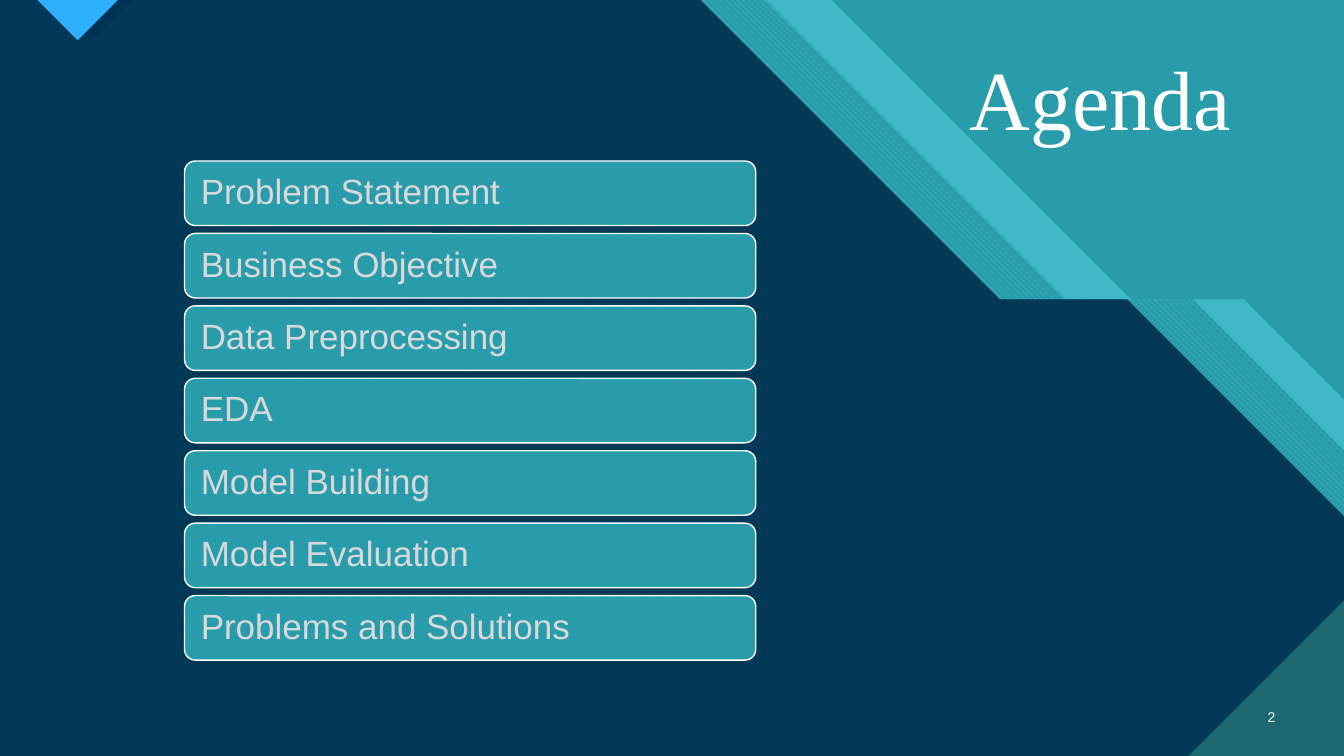
from dataclasses import dataclass
from typing import Optional

from lxml.etree import SubElement
from pptx import Presentation
from pptx.dml.color import RGBColor
from pptx.enum.dml import MSO_PATTERN
from pptx.enum.shapes import MSO_SHAPE
from pptx.enum.text import MSO_ANCHOR, PP_ALIGN
from pptx.oxml.ns import qn
from pptx.util import Inches, Pt

COLORS = {
    "teal": "299CAB",
    "aqua": "47C3D3",
    "deep_teal": "1B6872",
    "navy": "003352",
    "blue": "2FAFFF",
    "white": "FFFFFF",
    "grey": "D9D9D9",
}
WIDTH, HEIGHT = Inches(13.333), Inches(7.5)
SLOPE = WIDTH / HEIGHT  # turns a share of the width into the same length as a share of the height
SHELF_Y = 39.6

AGENDA = ["Problem Statement", "Business Objective", "Data Preprocessing", "EDA",
          "Model Building", "Model Evaluation", "Problems and Solutions"]
CARD_LEFT, CARD_TOP, CARD_W, CARD_H, CARD_PITCH = 13.73, 21.3, 42.5, 8.53, 9.58


@dataclass
class Paint:
    color: str
    alpha: Optional[int] = None
    pattern: Optional[MSO_PATTERN] = None
    back: str = "teal"


@dataclass
class Layer:
    """A page-wide sheet whose right edge runs down at 45 degrees, along a shelf, and down again."""
    fold: float
    shelf_end: float
    paint: Paint


@dataclass
class Triangle:
    points: list[tuple[float, float]]
    paint: Paint


LAYERS = [
    Layer(61.88, 92.55, Paint("aqua", alpha=74)),
    Layer(57.0, 88.8, Paint("aqua", pattern=MSO_PATTERN.WIDE_DOWNWARD_DIAGONAL)),
    Layer(52.12, 83.85, Paint("aqua", pattern=MSO_PATTERN.WIDE_UPWARD_DIAGONAL,
                              back="deep_teal")),
    Layer(52.12, 83.85, Paint("navy", alpha=90)),
]
TRIANGLES = [
    Triangle([(3.6, 0), (6.71, 5.53), (9.82, 0)], Paint("navy")),
    Triangle([(2.78, 0), (5.78, 5.33), (8.78, 0)], Paint("blue")),
    Triangle([(88.43, 100), (100, 100), (100, 79.43)], Paint("deep_teal")),
]


def rgb(name: str) -> RGBColor:
    return RGBColor.from_string(COLORS[name])


def x(share: float) -> int:
    """Percent of the slide's width."""
    return round(WIDTH * share / 100)


def y(share: float) -> int:
    """Percent of the slide's height."""
    return round(HEIGHT * share / 100)


def apply_paint(sp, paint: Paint) -> None:
    sp.shadow.inherit = False
    sp.line.fill.background()
    if paint.pattern is not None:
        sp.fill.patterned()
        sp.fill.pattern = paint.pattern
        sp.fill.fore_color.rgb = rgb(paint.color)
        sp.fill.back_color.rgb = rgb(paint.back)
        return
    sp.fill.solid()
    sp.fill.fore_color.rgb = rgb(paint.color)
    if paint.alpha is not None:
        clr = sp._element.spPr.find(qn("a:solidFill")).find(qn("a:srgbClr"))
        SubElement(clr, qn("a:alpha")).set("val", str(paint.alpha * 1000))


def add_polygon(s, points: list[tuple[float, float]], paint: Paint) -> None:
    corners = [(x(px), y(py)) for px, py in points]
    builder = s.shapes.build_freeform(*corners[0])
    builder.add_line_segments(corners[1:], close=True)
    apply_paint(builder.convert_to_shape(), paint)


def add_layer(s, layer: Layer) -> None:
    shelf_start = layer.fold + SHELF_Y / SLOPE
    right_y = SHELF_Y + (100 - layer.shelf_end) * SLOPE
    add_polygon(s, [(0, 0), (layer.fold, 0), (shelf_start, SHELF_Y),
                    (layer.shelf_end, SHELF_Y), (100, right_y), (100, 100), (0, 100)],
                layer.paint)


def write(sp, text: str, *, size: float, color: str = "white", font: str = "Arial",
          align: PP_ALIGN = PP_ALIGN.LEFT, anchor: MSO_ANCHOR = MSO_ANCHOR.MIDDLE,
          inset: float = 0.1, spacing: float = 1.0) -> None:
    tf = sp.text_frame
    tf.word_wrap = True
    tf.vertical_anchor = anchor
    tf.margin_left = tf.margin_right = Inches(inset)
    tf.margin_top = tf.margin_bottom = Inches(0.05)
    p = tf.paragraphs[0]
    p.alignment = align
    p.line_spacing = spacing
    r = p.add_run()
    r.text = text
    r.font.size = Pt(size)
    r.font.name = font
    r.font.color.rgb = rgb(color)


def add_card(s, row: int, text: str) -> None:
    sp = s.shapes.add_shape(MSO_SHAPE.ROUNDED_RECTANGLE, x(CARD_LEFT),
                            y(CARD_TOP + row * CARD_PITCH), x(CARD_W), y(CARD_H))
    apply_paint(sp, Paint("teal"))
    sp.line.color.rgb = rgb("white")
    sp.line.width = Pt(1)
    write(sp, text, size=25, color="grey", inset=0.13, spacing=0.9)


def add_title(s, text: str) -> None:
    title = s.shapes.title
    title.left, title.top, title.width, title.height = x(70.8), y(5.47), x(22.13), y(14.8)
    write(title, text, size=60, font="Times New Roman", align=PP_ALIGN.CENTER,
          anchor=MSO_ANCHOR.TOP)
    s.shapes._spTree.append(title._element)  # bring in front of the layers


def main() -> None:
    prs = Presentation()
    prs.slide_width, prs.slide_height = WIDTH, HEIGHT
    s = prs.slides.add_slide(prs.slide_layouts[5])
    s.background.fill.solid()
    s.background.fill.fore_color.rgb = rgb("teal")

    for layer in LAYERS:
        add_layer(s, layer)
    for triangle in TRIANGLES:
        add_polygon(s, triangle.points, triangle.paint)

    number = s.shapes.add_textbox(x(92.33), y(92.13), x(3.3), y(5.33))
    write(number, "2", size=10, align=PP_ALIGN.RIGHT)
    add_title(s, "Agenda")
    for row, text in enumerate(AGENDA):
        add_card(s, row, text)

    prs.save("out.pptx")


if __name__ == "__main__":
    main()
